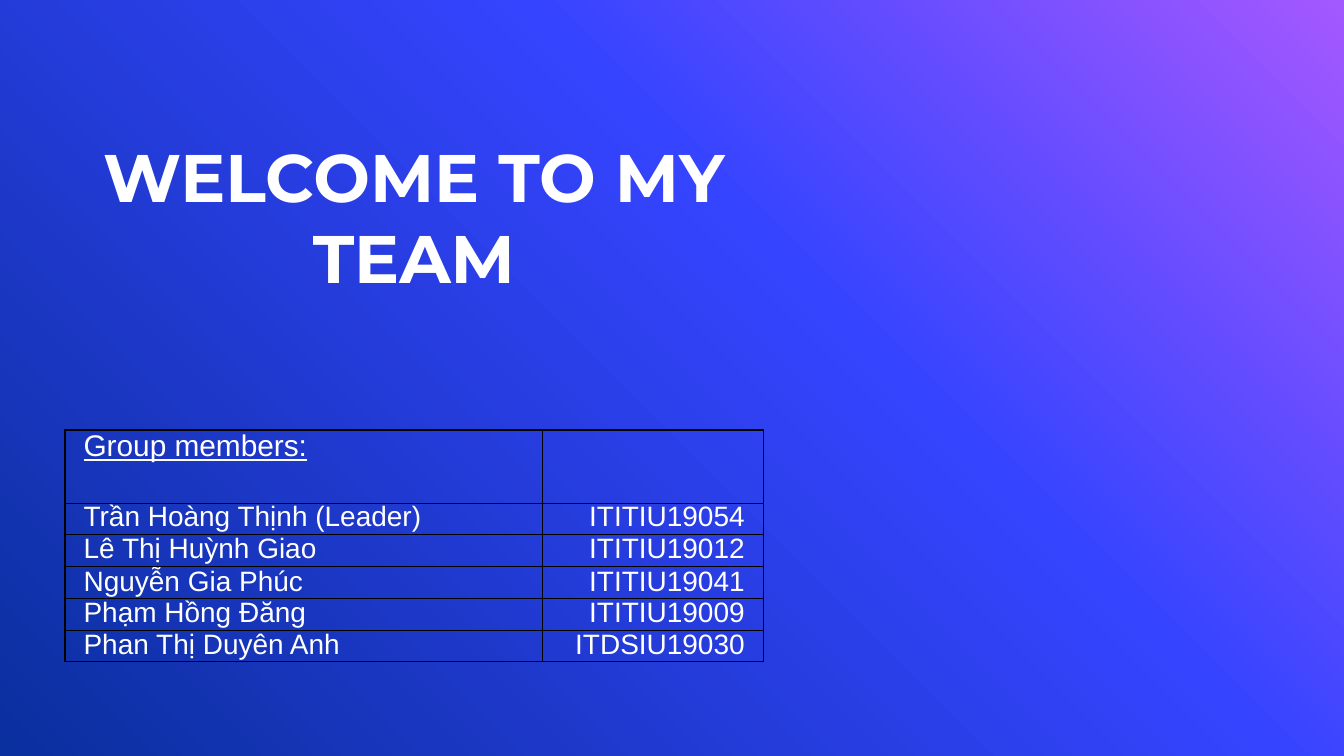
from lxml.etree import SubElement
from pptx import Presentation
from pptx.dml.color import RGBColor
from pptx.enum.text import MSO_ANCHOR, PP_ALIGN
from pptx.oxml.ns import qn
from pptx.util import Pt


def color(hex_value):
    return RGBColor.from_string(hex_value)


def write(paragraph, text, **font_format):
    run = paragraph.add_run()
    run.text = text
    run.font.color.rgb = color("FFFFFF")
    for name, value in font_format.items():
        setattr(run.font, name, value)


presentation = Presentation()
presentation.slide_width = Pt(720)
presentation.slide_height = Pt(405)
slide = presentation.slides.add_slide(presentation.slide_layouts[6])

# Background: three-stop gradient from the top right to the bottom left
fill = slide.background.fill
fill.gradient()
fill.gradient_angle = 225
stops = slide.element.find(".//" + qn("a:gsLst"))
for stop in list(stops):
    stops.remove(stop)
for percent, hex_value in [(0, "A458FF"), (39, "3544FF"), (100, "0A2F9E")]:
    stop = SubElement(stops, qn("a:gs"), pos=str(percent * 1000))
    SubElement(stop, qn("a:srgbClr"), val=hex_value)

# Title
title = slide.shapes.add_textbox(Pt(54), Pt(67.5), Pt(335.5), Pt(91.5))
frame_format = {
    "word_wrap": True,
    "vertical_anchor": MSO_ANCHOR.BOTTOM,
    "margin_left": 0,
    "margin_right": 0,
    "margin_top": 0,
    "margin_bottom": 0,
}
for name, value in frame_format.items():
    setattr(title.text_frame, name, value)
paragraph = title.text_frame.paragraphs[0]
paragraph.alignment = PP_ALIGN.CENTER
write(paragraph, "WELCOME TO MY TEAM", name="Montserrat", size=Pt(36), bold=True)

# Group members: name, student number, row height, line spacing
members = [
    ("Group members:", "", 39.2, 17.7),
    ("Trần Hoàng Thịnh (Leader)", "ITITIU19054", 16.6, 15.8),
    ("Lê Thị Huỳnh Giao", "ITITIU19012", 17.3, 16.4),
    ("Nguyễn Gia Phúc", "ITITIU19041", 17.3, 16.4),
    ("Phạm Hồng Đăng", "ITITIU19009", 16.9, 15.9),
    ("Phan Thị Duyên Anh", "ITDSIU19030", 16.9, 15.9),
]
table = slide.shapes.add_table(
    len(members), 2, Pt(34.8), Pt(230.4), Pt(374.2), Pt(124.2)
).table
table.first_row = False
table.horz_banding = False
for column, width in zip(table.columns, (256, 118.2)):
    column.width = Pt(width)

cell_format = {
    "margin_left": Pt(10),
    "margin_right": Pt(10),
    "margin_top": 0,
    "margin_bottom": 0,
}
for row_index, (member, number, height, spacing) in enumerate(members):
    table.rows[row_index].height = Pt(height)
    is_heading = row_index == 0
    for column_index, text in enumerate((member, number)):
        cell = table.cell(row_index, column_index)
        for name, value in cell_format.items():
            setattr(cell, name, value)

        # Thin black borders, placed before the cell fill
        properties = cell._tc.get_or_add_tcPr()
        for side in ("lnL", "lnR", "lnT", "lnB"):
            border = SubElement(properties, qn("a:" + side), w=str(Pt(0.75)))
            border_fill = SubElement(border, qn("a:solidFill"))
            SubElement(border_fill, qn("a:srgbClr"), val="000000")
        cell.fill.background()

        paragraph = cell.text_frame.paragraphs[0]
        paragraph.alignment = PP_ALIGN.RIGHT if column_index else PP_ALIGN.LEFT
        paragraph.line_spacing = Pt(spacing)
        if text:
            size = Pt(16 if is_heading else 15)
            write(paragraph, text, name="Arial", size=size, underline=is_heading)

presentation.save("out.pptx")
